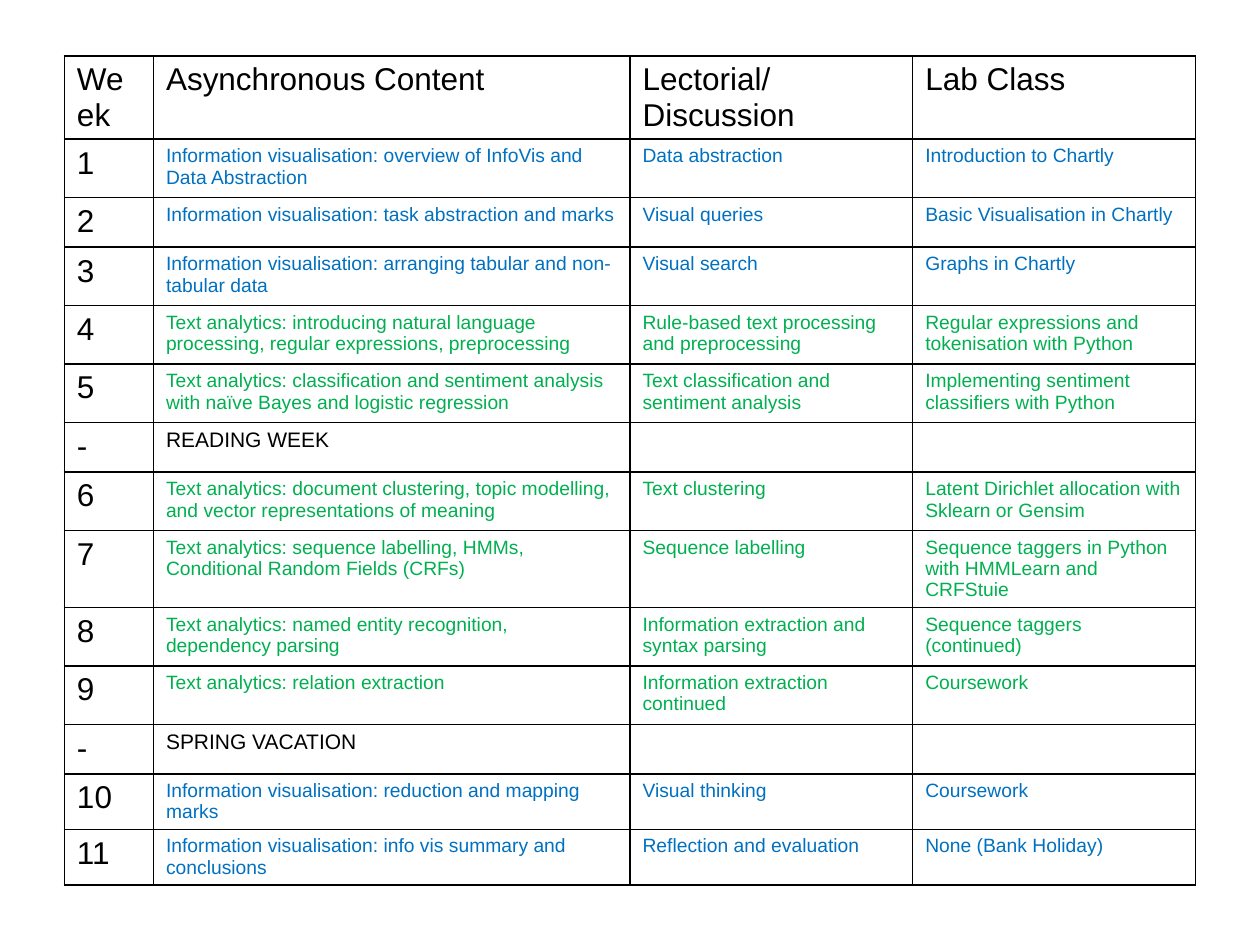
import pptx
import pptx.util
import pptx.dml.color
import pptx.oxml
from pptx.oxml.ns import nsdecls

Pt = pptx.util.Pt
COLORS = {"text": "000000", "vis": "0070C0", "nlp": "00B050", "border": "000000"}
COLUMNS = [50.9, 272.3, 161.6, 161.6]
HEIGHTS = {"header": 47.4, "short": 28.3, "normal": 33.4, "tall": 44, "final": 31.7}
SCHEDULE = [
    ("header", "text", 18, ["Week", "Asynchronous Content", "Lectorial/Discussion", "Lab Class"]),
    ("normal", "vis", 11, ["1", "Information visualisation: overview of InfoVis and Data Abstraction",
                           "Data abstraction", "Introduction to Chartly"]),
    ("short", "vis", 11, ["2", "Information visualisation: task abstraction and marks",
                          "Visual queries", "Basic Visualisation in Chartly"]),
    ("normal", "vis", 11, ["3", "Information visualisation: arranging tabular and non-tabular data",
                           "Visual search", "Graphs in Chartly"]),
    ("normal", "nlp", 11, ["4", "Text analytics: introducing natural language processing, regular expressions, preprocessing",
                           "Rule-based text processing and preprocessing",
                           "Regular expressions and tokenisation with Python"]),
    ("normal", "nlp", 11, ["5", "Text analytics: classification and sentiment analysis with naïve Bayes and logistic regression",
                           "Text classification and sentiment analysis",
                           "Implementing sentiment classifiers with Python"]),
    ("short", "text", 12, ["-", "READING WEEK", "", ""]),
    ("normal", "nlp", 11, ["6", "Text analytics: document clustering, topic modelling, and vector representations of meaning",
                           "Text clustering", "Latent Dirichlet allocation with Sklearn or Gensim"]),
    ("tall", "nlp", 11, ["7", "Text analytics: sequence labelling, HMMs, Conditional Random Fields (CRFs)",
                         "Sequence labelling", "Sequence taggers in Python with HMMLearn and CRFStuie"]),
    ("normal", "nlp", 11, ["8", "Text analytics: named entity recognition, dependency parsing",
                           "Information extraction and syntax parsing", "Sequence taggers (continued)"]),
    ("normal", "nlp", 11, ["9", "Text analytics: relation extraction",
                           "Information extraction continued", "Coursework"]),
    ("short", "text", 12, ["-", "SPRING VACATION", "", ""]),
    ("final", "vis", 11, ["10", "Information visualisation: reduction and mapping marks",
                          "Visual thinking", "Coursework"]),
    ("final", "vis", 11, ["11", "Information visualisation: info vis summary and conclusions",
                          "Reflection and evaluation", "None (Bank Holiday)"]),
]


def add_borders(cell):
    tcPr = cell._tc.get_or_add_tcPr()
    for i, side in enumerate(("lnL", "lnR", "lnT", "lnB")):
        tcPr.insert(i, pptx.oxml.parse_xml(
            f'<a:{side} {nsdecls("a")} w="{Pt(1)}"><a:solidFill>'
            f'<a:srgbClr val="{COLORS["border"]}"/></a:solidFill></a:{side}>'))


def fill_cell(cell, text, size, color):
    cell.fill.background()
    add_borders(cell)
    p = cell.text_frame.paragraphs[0]
    p.font.name = "Arial"
    p.font.size = Pt(size)
    p.font.color.rgb = pptx.dml.color.RGBColor.from_string(COLORS[color])
    if text:
        p.text = text


def add_schedule(s, left, top, width, height):
    table = s.shapes.add_table(len(SCHEDULE), len(COLUMNS), Pt(left), Pt(top),
                               Pt(width), Pt(height)).table
    table.first_row = table.horz_banding = False
    for column, w in zip(table.columns, COLUMNS):
        column.width = Pt(w)
    for row, (kind, color, size, texts) in zip(table.rows, SCHEDULE):
        row.height = Pt(HEIGHTS[kind])
        for i, (cell, text) in enumerate(zip(row.cells, texts)):
            if i == 0:
                fill_cell(cell, text, 18, "text")
            else:
                fill_cell(cell, text, size, color)


def main():
    prs = pptx.Presentation()
    prs.slide_width, prs.slide_height = Pt(720), Pt(540)
    s = prs.slides.add_slide(prs.slide_layouts[6])
    add_schedule(s, 36.8, 32, sum(COLUMNS), sum(HEIGHTS[row[0]] for row in SCHEDULE))
    prs.save("out.pptx")


if __name__ == "__main__":
    main()
